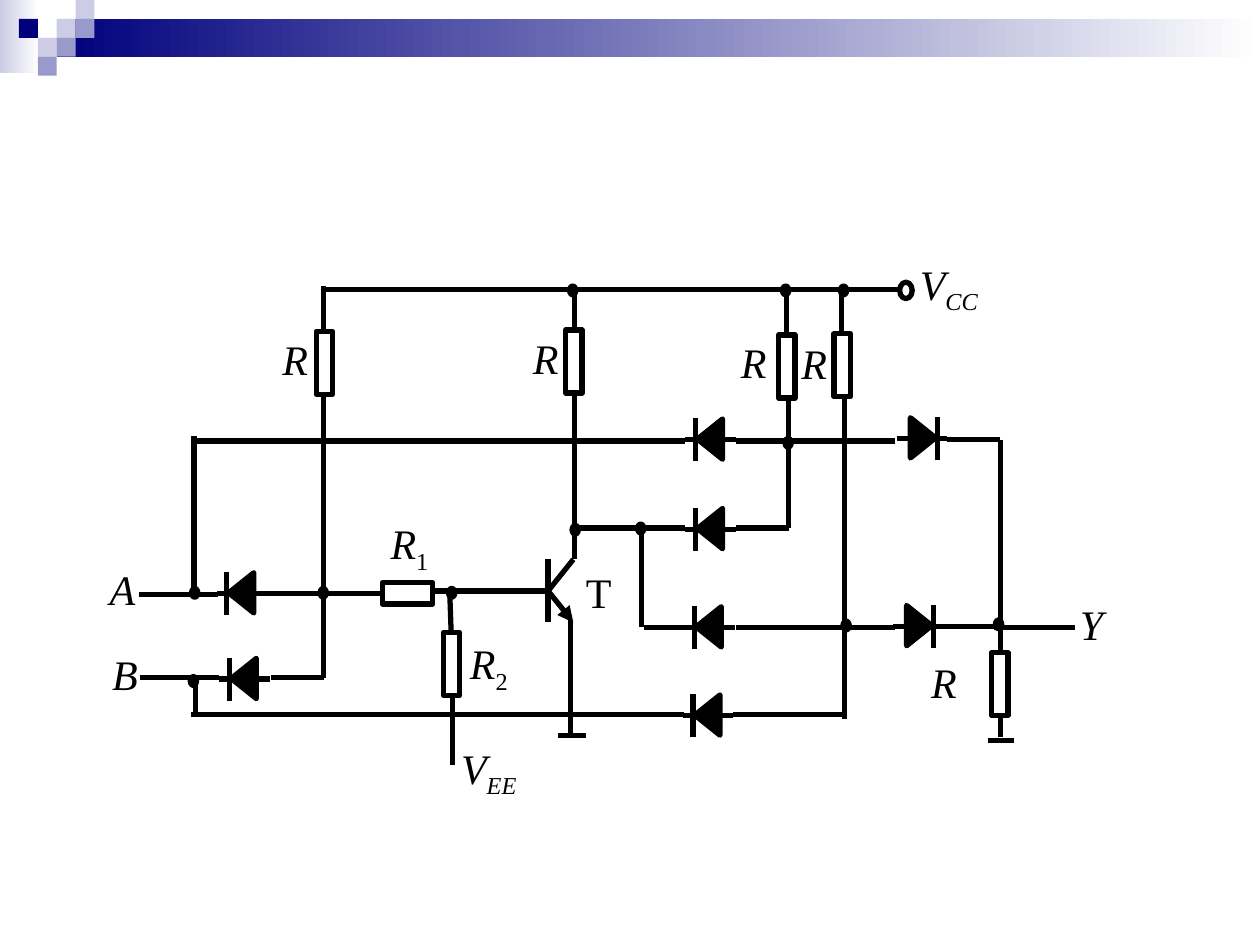
import pptx
import pptx.util
import pptx.dml.color
import pptx.enum.shapes
import pptx.enum.text
import pptx.oxml.ns
import pptx.oxml.xmlchemy

THEME = {
    "ink": "000000", "paper": "FFFFFF",
    "navy": "00007D", "violet": "9999CC", "lilac": "CCCCE6",
    "font": "Times New Roman", "label": 24, "stroke": 3,
}
PRESET = pptx.enum.shapes.MSO_SHAPE

deck = pptx.Presentation()
deck.slide_width = pptx.util.Inches(10)
deck.slide_height = pptx.util.Inches(7.5)
page = deck.slides.add_slide(deck.slide_layouts[6])

# Fine square grid: 1000 columns by 750 rows
CELL = deck.slide_width // 1000


def draw_shape(preset, left, top, width, height, fill, outline=True, turn=0):
    shape = page.shapes.add_shape(
        preset, *(int(cells * CELL) for cells in (left, top, width, height)))
    shape.shadow.inherit = False
    shape.rotation = turn
    if isinstance(fill, tuple):
        shape.fill.gradient()
        shape.fill.gradient_angle = 0
        for stop, name in zip(shape.fill.gradient_stops, fill):
            stop.color.rgb = pptx.dml.color.RGBColor.from_string(THEME[name])
    else:
        shape.fill.solid()
        shape.fill.fore_color.rgb = pptx.dml.color.RGBColor.from_string(THEME[fill])
    if outline:
        shape.line.color.rgb = pptx.dml.color.RGBColor.from_string(THEME["ink"])
        shape.line.width = pptx.util.Pt(THEME["stroke"])
    else:
        shape.line.fill.background()


def draw_wire(x1, y1, x2, y2, arrow=False):
    wire = page.shapes.add_connector(
        pptx.enum.shapes.MSO_CONNECTOR.STRAIGHT,
        *(int(cells * CELL) for cells in (x1, y1, x2, y2)))
    wire.line.color.rgb = pptx.dml.color.RGBColor.from_string(THEME["ink"])
    wire.line.width = pptx.util.Pt(THEME["stroke"])
    properties = wire.element.spPr
    if arrow:
        tail = pptx.oxml.xmlchemy.OxmlElement("a:tailEnd")
        tail.set("type", "triangle")
        properties.find(pptx.oxml.ns.qn("a:ln")).append(tail)
    properties.append(pptx.oxml.xmlchemy.OxmlElement("a:effectLst"))


# Header: fading bands and a mosaic of squares
draw_shape(PRESET.RECTANGLE, 0, 0, 31, 58, ("lilac", "paper"), outline=False)
draw_shape(PRESET.RECTANGLE, 45, 15, 955, 30, ("navy", "paper"), outline=False)
TILE = 15
for column, row, fill in [
    (3, 1, "lilac"), (4, 0, "lilac"), (4, 1, "violet"), (2, 2, "lilac"),
    (1, 1, "navy"), (3, 2, "violet"), (2, 3, "violet"),
]:
    draw_shape(PRESET.RECTANGLE, column * TILE, row * TILE, TILE, TILE, fill, outline=False)

# Wires: x1, y1, x2, y2
for ends in [
    # Supply rail and the branches below it
    (257, 230, 714, 230), (257, 227, 257, 538), (456, 230, 456, 444),
    (624, 230, 624, 266), (626, 313, 626, 419),
    (668, 230, 668, 264), (670, 312, 670, 571),
    # Input A and its feedback line
    (110, 472, 173, 472), (200, 471, 304, 471), (154, 346, 154, 470),
    (154, 350, 544, 350), (584, 350, 710, 350),
    # Input B and its lower line
    (111, 538, 174, 538), (215, 538, 257, 538), (155, 538, 155, 567),
    (152, 567, 543, 567), (582, 567, 670, 567),
    # Transistor base, collector, emitter and ground
    (345, 469, 435, 469), (435, 444, 435, 494), (435, 469, 455, 444),
    (453, 492, 453, 584), (443, 584, 465, 584),
    # Bias branch to the negative supply
    (357, 471, 358, 500), (359, 553, 359, 607),
    # Collector node to the middle diodes
    (456, 419, 544, 419), (584, 419, 626, 419),
    (509, 417, 509, 498), (511, 498, 543, 498), (584, 498, 710, 498),
    # Output, load and ground
    (752, 349, 794, 349), (794, 349, 794, 517), (747, 497, 789, 497),
    (789, 498, 853, 498), (794, 568, 794, 585), (784, 588, 805, 588),
]:
    draw_wire(*ends)
draw_wire(435, 469, 455, 494, arrow=True)  # emitter

# Diodes: bar x, centre y, body side of the bar (+1 points left, -1 right)
for bar, y, side in [
    (180, 471, 1), (182, 539, 1), (552, 349, 1), (552, 420, 1),
    (551, 498, 1), (550, 568, 1), (744, 348, -1), (741, 497, -1),
]:
    draw_shape(PRESET.ISOSCELES_TRIANGLE, bar + side * 11.5 - 16, y - 10.5, 32, 20,
               "ink", turn=270 if side > 0 else 90)
    draw_wire(bar + side * 20, y, bar + side * 32, y)
    draw_wire(bar, y, bar - side * 8, y)
    draw_wire(bar, y - 17, bar, y + 17)

# Resistors: upright ones by left and top, then the one in series with the base
for left, top in [(251, 263), (449, 262), (618, 266), (662, 265), (352, 502), (787, 518)]:
    draw_shape(PRESET.RECTANGLE, left, top, 13, 50, "paper")
draw_shape(PRESET.RECTANGLE, 303.5, 462.5, 40, 17, "paper")

# Junction dots and the supply terminal
for left, top in [
    (452, 227), (621, 227), (667, 227), (623, 348), (454, 417), (506, 416),
    (152, 467), (254, 467), (356, 467), (669, 493), (790, 492), (151, 537),
]:
    draw_shape(PRESET.OVAL, left, top, 5, 7, "ink")
draw_shape(PRESET.OVAL, 714, 224, 10, 13, "paper")

# Labels: left, top, width, symbol, subscript
FRAME = {"margin_left": 0, "margin_right": 0, "margin_top": 0, "margin_bottom": 0,
         "word_wrap": True}
FONT = {"name": THEME["font"], "size": pptx.util.Pt(THEME["label"])}
UPRIGHT = {"T", "1", "2"}
for left, top, width, symbol, subscript in [
    (87, 447, 21, "A", ""), (89, 515, 21, "B", ""), (857, 475, 40, "Y", ""),
    (224, 265, 42, "R", ""), (423, 264, 42, "R", ""), (588, 267, 42, "R", ""),
    (636, 268, 42, "R", ""), (739, 521, 42, "R", ""),
    (310, 411, 42, "R", "1"), (373, 506, 42, "R", "2"), (465, 450, 21, "T", ""),
    (730, 205, 80, "V", "CC"), (366, 589, 103, "V", "EE"),
]:
    box = page.shapes.add_textbox(*(cells * CELL for cells in (left, top, width, 46)))
    for name, value in FRAME.items():
        setattr(box.text_frame, name, value)
    para = box.text_frame.paragraphs[0]
    para.alignment = pptx.enum.text.PP_ALIGN.JUSTIFY
    for text, baseline in [(symbol, 0), (subscript, -25000)]:
        if not text:
            continue
        span = para.add_run()
        span.text = text
        for name, value in FONT.items():
            setattr(span.font, name, value)
        span.font.italic = text not in UPRIGHT
        span.font.color.rgb = pptx.dml.color.RGBColor.from_string(THEME["ink"])
        if baseline:
            span.font._element.set("baseline", str(baseline))

deck.save("out.pptx")
